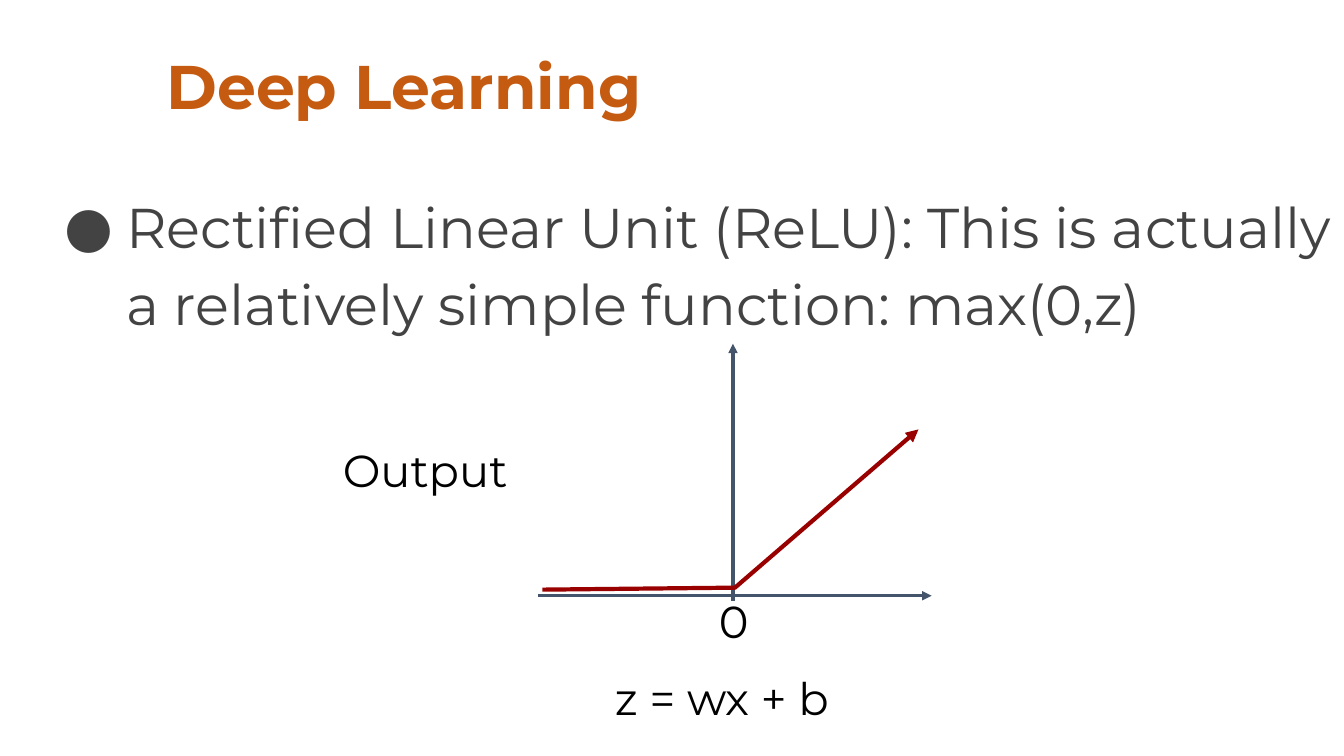
from lxml import etree
from pptx import Presentation
from pptx import util as u
from pptx.dml.color import RGBColor
from pptx.enum import shapes, text
from pptx.oxml import ns

HUES = {"title": "C55A11", "body": "434343", "label": "000000",
        "axis": "44546A", "curve": "990000"}
FONT = "Montserrat"


def write(shape, box, words, size, hue):
    """Place a text shape and fill it with one styled run."""
    shape.left, shape.top, shape.width, shape.height = map(u.Inches, box)
    frame = shape.text_frame
    frame.word_wrap = True
    frame.auto_size = text.MSO_AUTO_SIZE.NONE
    frame.vertical_anchor = text.MSO_ANCHOR.TOP
    frame.margin_left = frame.margin_right = u.Inches(0.13)
    frame.margin_top = frame.margin_bottom = u.Inches(0.13)
    para = frame.paragraphs[0]
    para.alignment = text.PP_ALIGN.LEFT
    run = para.add_run()
    run.text = words
    run.font.name = FONT
    run.font.size = u.Pt(size)
    run.font.color.rgb = RGBColor.from_string(HUES[hue])
    return para


def stroke(shape, hue, width):
    """Draw a line that ends in an arrowhead and has no shadow."""
    shape.line.color.rgb = RGBColor.from_string(HUES[hue])
    shape.line.width = u.Pt(width)
    line = shape.line._get_or_add_ln()
    etree.SubElement(line, ns.qn("a:tailEnd"), type="triangle")
    etree.SubElement(shape._element.spPr, ns.qn("a:effectLst"))


deck = Presentation()
deck.slide_width, deck.slide_height = u.Inches(13.33), u.Inches(7.5)
slide = deck.slides.add_slide(deck.slide_layouts[5])
items = slide.shapes

# Title
para = write(items.title, (1.52, 0.43, 11.36, 0.84), "Deep Learning", 44, "title")
para.line_spacing = 0.9
para.runs[0].font.bold = True

# Bullet
para = write(items.add_textbox(0, 0, 0, 0), (0.45, 1.68, 12.88, 1.65),
             "Rectified Linear Unit (ReLU): This is actually a relatively "
             "simple function: max(0,z)", 40, "body")
para.line_spacing = 1.15
props = para._p.get_or_add_pPr()
props.set("marL", str(u.Inches(0.67)))
props.set("indent", str(u.Inches(-0.61)))
tint = etree.SubElement(props, ns.qn("a:buClr"))
etree.SubElement(tint, ns.qn("a:srgbClr"), val=HUES["body"])
etree.SubElement(props, ns.qn("a:buFont"), typeface=FONT)
etree.SubElement(props, ns.qn("a:buChar"), char="●")

# Axes
for ends in ((7.27, 5.96, 7.27, 3.41), (5.34, 5.91, 9.24, 5.91)):
    axis = items.add_connector(shapes.MSO_CONNECTOR.STRAIGHT, *map(u.Inches, ends))
    stroke(axis, "axis", 2.25)

# Labels
for words, left, top, width in (("z = wx + b", 5.97, 6.52, 2.94),
                                ("Output", 3.27, 4.26, 1.97),
                                ("0", 7, 5.76, 0.66)):
    write(items.add_textbox(0, 0, 0, 0), (left, top, width, 0.61), words, 32, "label")

# ReLU curve
start, *rest = [(u.Inches(x), u.Inches(y))
                for x, y in ((5.38, 5.85), (7.29, 5.83), (9.11, 4.26))]
path = items.build_freeform(*start)
path.add_line_segments(rest, close=False)
curve = path.convert_to_shape()
curve.fill.background()
stroke(curve, "curve", 3)

deck.save("out.pptx")
